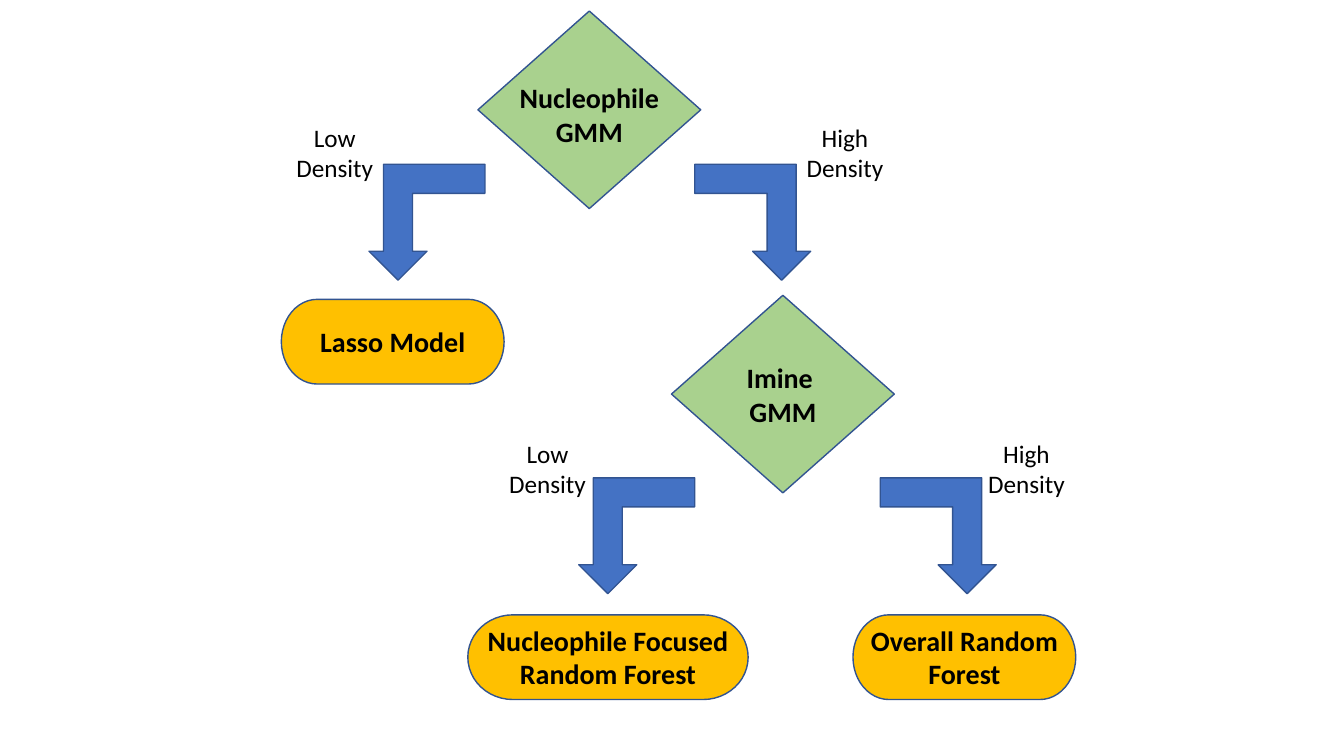
import pptx
import pptx.util
import pptx.dml.color
import pptx.enum.shapes
import pptx.enum.text

Inches = pptx.util.Inches
SHAPES = pptx.enum.shapes.MSO_SHAPE

COLOURS = {
    "outline": "325491",
    "decision": "A9D18E",
    "model": "FFC000",
    "arrow": "4472C4",
    "text": "000000",
}
NODE_WIDTH = 2.21
NODE_FONT = {"name": "Calibri", "size": pptx.util.Pt(20), "bold": True}
BRANCH_FONT = {"name": "Calibri", "size": pptx.util.Pt(18), "bold": False}


def colour(name):
    return pptx.dml.color.RGBColor.from_string(COLOURS[name])


def add_figure(page, kind, fill, left, top, width, height):
    """Draw a filled, outlined preset shape."""
    figure = page.shapes.add_shape(
        kind, Inches(left), Inches(top), Inches(width), Inches(height))
    figure.shadow.inherit = False
    figure.fill.solid()
    figure.fill.fore_color.rgb = colour(fill)
    figure.line.color.rgb = colour("outline")
    figure.line.width = pptx.util.Pt(1)
    return figure


def add_label(page, lines, font, left, top, width, height):
    """Write centred, wrapping text, one paragraph per line."""
    box = page.shapes.add_textbox(
        Inches(left), Inches(top), Inches(width), Inches(height))
    frame = box.text_frame
    frame.word_wrap = True
    frame.auto_size = pptx.enum.text.MSO_AUTO_SIZE.SHAPE_TO_FIT_TEXT
    for index, line in enumerate(lines):
        para = frame.add_paragraph() if index else frame.paragraphs[0]
        para.alignment = pptx.enum.text.PP_ALIGN.CENTER
        span = para.add_run()
        span.text = line
        for name, value in font.items():
            setattr(span.font, name, value)
        span.font.color.rgb = colour("text")


def add_decision(page, lines, left, top, label_top):
    add_figure(page, SHAPES.FLOWCHART_DECISION, "decision",
               left, top, NODE_WIDTH, 1.96)
    add_label(page, lines, NODE_FONT, left, label_top, NODE_WIDTH, 0.77)


def add_model(page, text, left, top, width=NODE_WIDTH, label_height=0.77):
    height = 0.84
    add_figure(page, SHAPES.FLOWCHART_TERMINATOR, "model",
               left, top, width, height)
    label_top = top + (height - label_height) / 2
    add_label(page, [text], NODE_FONT, left, label_top, width, label_height)


def add_branch(page, density, left, top, label_left, label_top):
    """Draw a bent arrow, down-left for low and down-right for high density."""
    arrow = add_figure(page, SHAPES.BENT_UP_ARROW, "arrow",
                       left, top, 1.15, 1.15)
    arrow.rotation = 180
    if density == "High":
        arrow._element.spPr.xfrm.set("flipH", "1")
    add_label(page, [f"{density} Density"], BRANCH_FONT,
              label_left, label_top, 0.98, 0.71)


def main():
    deck = pptx.Presentation()
    deck.slide_width = Inches(13.33)
    deck.slide_height = Inches(7.5)
    page = deck.slides.add_slide(deck.slide_layouts[6])

    # First decision and its branches
    add_decision(page, ["Nucleophile GMM"], 4.74, 0.11, 0.75)
    add_branch(page, "Low", 3.66, 1.63, 2.83, 1.16)
    add_branch(page, "High", 6.89, 1.63, 7.89, 1.16)
    add_model(page, "Lasso Model", 2.79, 2.97, label_height=0.44)

    # Second decision and its branches
    add_decision(page, ["Imine ", "GMM"], 6.66, 2.93, 3.53)
    add_branch(page, "Low", 5.74, 4.74, 4.94, 4.3)
    add_branch(page, "High", 8.73, 4.74, 9.69, 4.3)
    add_model(page, "Nucleophile Focused Random Forest", 4.64, 6.1, width=2.78)
    add_model(page, "Overall Random Forest", 8.46, 6.1)

    deck.save("out.pptx")


main()
